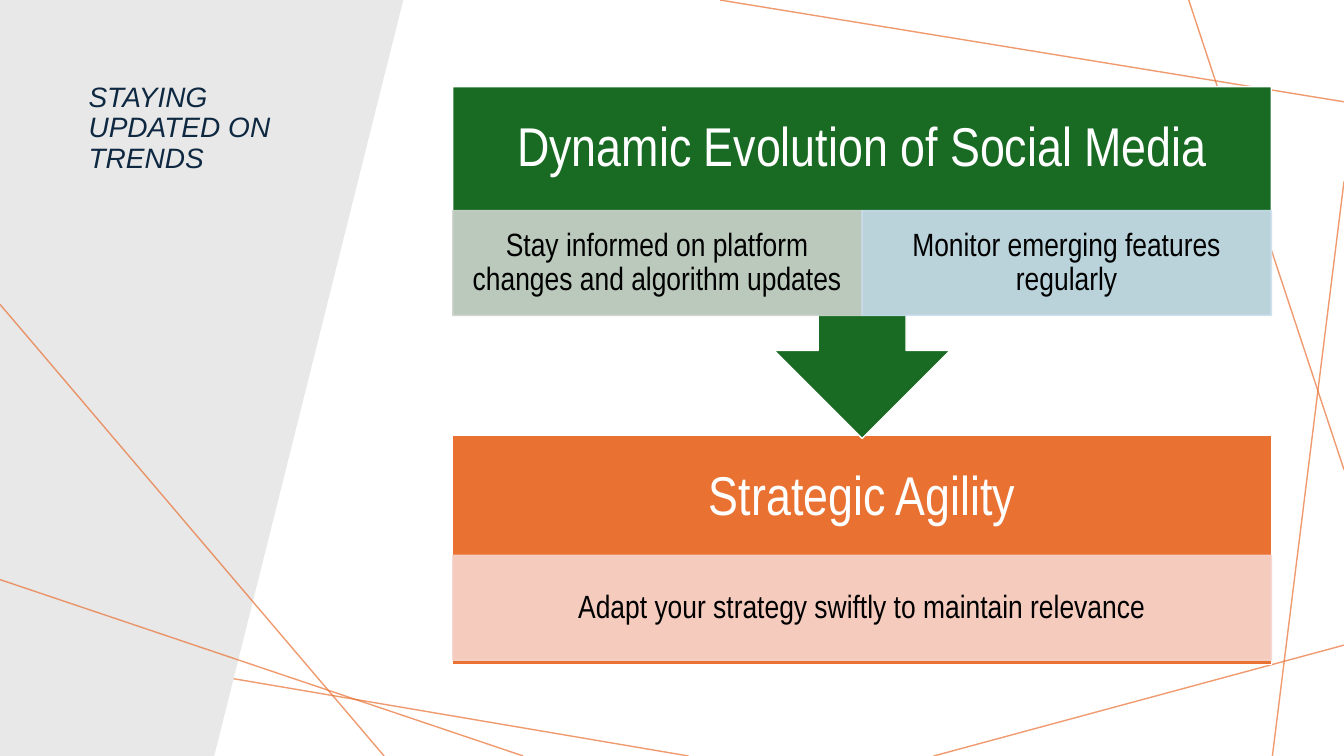
from dataclasses import dataclass

import pptx
import pptx.dml.color
import pptx.enum.shapes
import pptx.enum.text
import pptx.oxml
import pptx.oxml.ns
import pptx.util
from pptx.util import Inches

ORANGE, GREEN, WHITE, BLACK = "E97132", "196B24", "FFFFFF", "000000"
NAVY, GREY = "0E2841", "E8E8E8"
SHAPES = pptx.enum.shapes.MSO_SHAPE


@dataclass
class Ray:
    x1: float
    y1: float
    x2: float
    y2: float


@dataclass
class Block:
    left: float
    top: float
    width: float
    height: float
    fill: str
    line: str = WHITE
    opacity: int = 100
    kind: int = SHAPES.RECTANGLE
    rotation: int = 0


@dataclass
class Style:
    size: int
    font: str
    color: str
    inset_x: float
    inset_y: float
    centered: bool = True
    italic: bool = False


HEADING = Style(39, "Arial Narrow", WHITE, 0.3, 0.3)
DETAIL = Style(23, "Arial Narrow", BLACK, 0.18, 0.03)
TITLE = Style(20, "Arial", NAVY, 0.1, 0.05, centered=False, italic=True)


def rgb(code: str) -> pptx.dml.color.RGBColor:
    return pptx.dml.color.RGBColor.from_string(code)


def set_opacity(color_parent, percent: int) -> None:
    """Add an alpha value to every solid colour below the given element."""
    for color in color_parent.iter(pptx.oxml.ns.qn("a:srgbClr")):
        alpha = pptx.oxml.parse_xml(
            f'<a:alpha {pptx.oxml.ns.nsdecls("a")} val="{percent * 1000}"/>')
        color.append(alpha)


def draw_ray(slide, ray: Ray) -> None:
    connector = slide.shapes.add_connector(
        pptx.enum.shapes.MSO_CONNECTOR.STRAIGHT,
        Inches(ray.x1), Inches(ray.y1), Inches(ray.x2), Inches(ray.y2))
    connector.line.color.rgb = rgb(ORANGE)
    connector.line.width = pptx.util.Pt(1)
    properties = connector._element.spPr
    set_opacity(properties, 70)
    properties.append(pptx.oxml.parse_xml(
        f'<a:effectLst {pptx.oxml.ns.nsdecls("a")}/>'))


def draw_block(slide, block: Block):
    shape = slide.shapes.add_shape(
        block.kind, Inches(block.left), Inches(block.top),
        Inches(block.width), Inches(block.height))
    shape.rotation = block.rotation
    shape.shadow.inherit = False
    shape.fill.solid()
    shape.fill.fore_color.rgb = rgb(block.fill)
    shape.line.color.rgb = rgb(block.line)
    shape.line.width = pptx.util.Pt(1)
    if block.opacity < 100:
        set_opacity(shape._element.spPr, block.opacity)
    return shape


def write(shape, text: str, style: Style) -> None:
    frame = shape.text_frame
    frame.text = text
    frame.word_wrap = True
    frame.margin_left = frame.margin_right = Inches(style.inset_x)
    frame.margin_top = frame.margin_bottom = Inches(style.inset_y)
    anchors, aligns = pptx.enum.text.MSO_ANCHOR, pptx.enum.text.PP_ALIGN
    frame.vertical_anchor = anchors.MIDDLE if style.centered else anchors.TOP
    paragraph = frame.paragraphs[0]
    paragraph.alignment = aligns.CENTER if style.centered else aligns.LEFT
    paragraph.line_spacing = 0.9
    font = paragraph.runs[0].font
    font.size = pptx.util.Pt(style.size)
    font.name = style.font
    font.italic = style.italic
    font.color.rgb = rgb(style.color)


def add_label(slide, left: float, top: float, width: float, height: float,
              text: str, style: Style) -> None:
    label = slide.shapes.add_textbox(
        Inches(left), Inches(top), Inches(width), Inches(height))
    write(label, text, style)


def draw_panel(slide) -> None:
    builder = slide.shapes.build_freeform(0, 0, scale=Inches(1))
    builder.add_line_segments([(4.18, 0), (2.46, 7.5), (0, 7.5)], close=True)
    panel = builder.convert_to_shape()
    panel.shadow.inherit = False
    panel.fill.solid()
    panel.fill.fore_color.rgb = rgb(GREY)
    panel.line.fill.background()


def main() -> None:
    deck = pptx.Presentation()
    deck.slide_width, deck.slide_height = Inches(13.33), Inches(7.5)
    slide = deck.slides.add_slide(deck.slide_layouts[6])

    # Background rays, with the grey panel between the two layers
    rays_behind = [
        Ray(6.83, 7.5, 0, 6.34),
        Ray(13.33, 6.4, 9.26, 7.5),
        Ray(13.33, 1.8, 12.62, 7.5),
        Ray(13.33, 4.66, 11.79, 0),
        Ray(13.33, 1.01, 7.14, 0),
    ]
    rays_in_front = [Ray(0, 3.02, 3.81, 7.5), Ray(5.19, 7.5, 0, 5.75)]
    for ray in rays_behind:
        draw_ray(slide, ray)
    draw_panel(slide)
    add_label(slide, 0.78, 0.78, 2.7, 2.03, "STAYING UPDATED ON TRENDS", TITLE)
    for ray in rays_in_front:
        draw_ray(slide, ray)

    # Two stages: a heading over a row of equal details
    left, width, heading_height, detail_height = 4.49, 8.12, 1.23, 1.04
    stages = [
        (Block(left, 4.32, width, 2.27, ORANGE), "Strategic Agility", 5.51,
         [("Adapt your strategy swiftly to maintain relevance", "F7D5CE")]),
        (Block(left, 0.86, width, 3.49, GREEN,
               kind=SHAPES.UP_ARROW_CALLOUT, rotation=180),
         "Dynamic Evolution of Social Media", 2.09,
         [("Stay informed on platform changes and algorithm updates", "CCD4CD"),
          ("Monitor emerging features regularly", "CCDFEF")]),
    ]
    for stage, heading, detail_top, details in stages:
        draw_block(slide, stage)
        add_label(slide, left, stage.top, width, heading_height, heading, HEADING)
        detail_width = width / len(details)
        for column, (text, tint) in enumerate(details):
            detail = draw_block(slide, Block(
                left + column * detail_width, detail_top, detail_width,
                detail_height, tint, line=tint, opacity=90))
            write(detail, text, DETAIL)

    deck.save("out.pptx")


if __name__ == "__main__":
    main()
